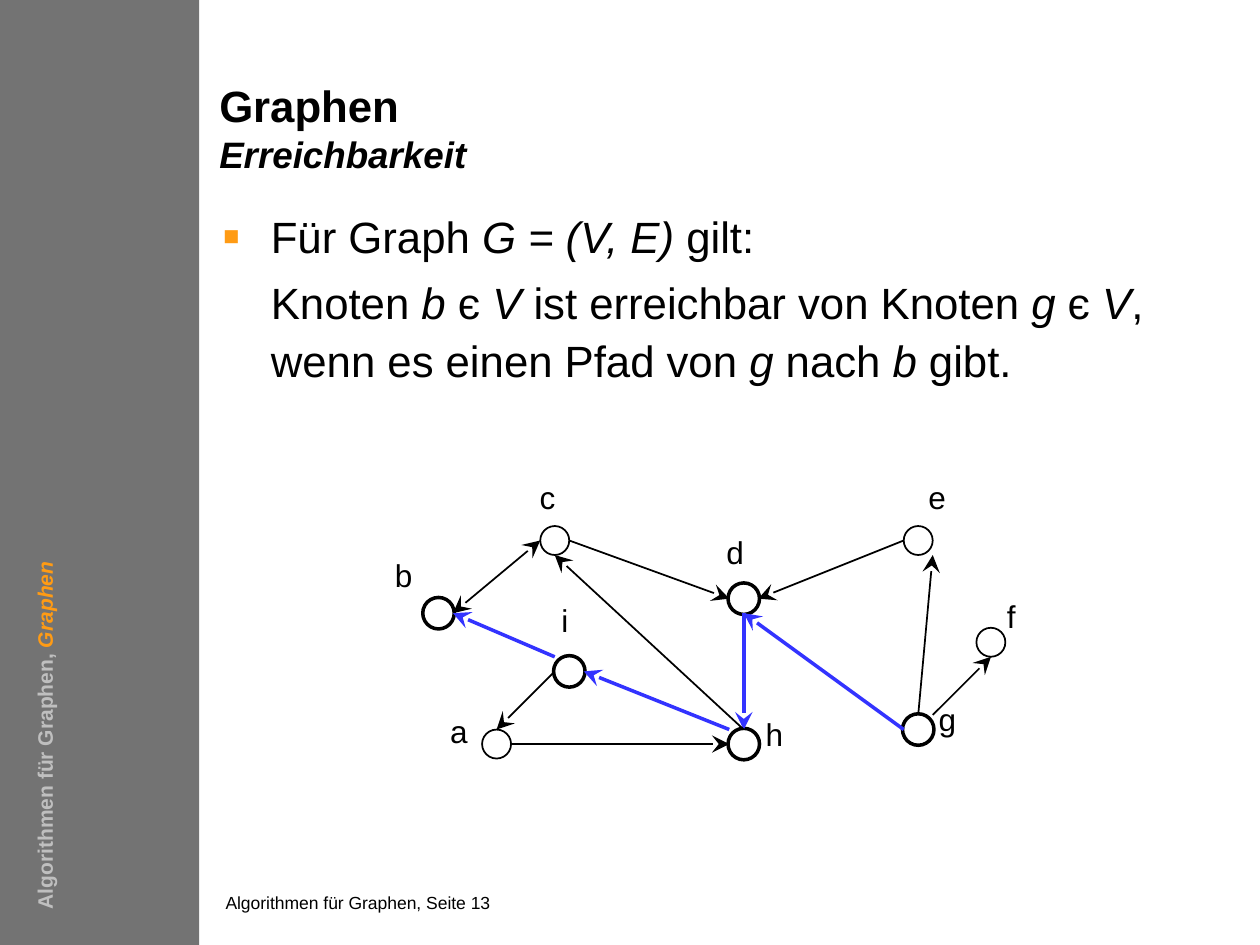
"""Builds the slide on reachability in a directed graph."""
from lxml import etree
from pptx import Presentation, util as u
from pptx.dml.color import RGBColor
from pptx.enum import shapes, text
from pptx.oxml.ns import qn

W, H = 10, 7.5
UNIT = H / 65
X0, Y0 = 3.48, 4.29
BLACK, BLUE, ORANGE = "000000", "3333FF", "FF9B14"


def rgb(value):
    return RGBColor.from_string(value)


def add_runs(p, size, runs, color=BLACK, bold=False):
    for wording, italic in runs:
        r = p.add_run()
        r.text = wording
        r.font.name, r.font.size = "Arial", u.Pt(size)
        r.font.bold, r.font.italic = bold, italic
        r.font.color.rgb = rgb(color)


prs = Presentation()
prs.slide_width, prs.slide_height = u.Inches(W), u.Inches(H)
s = prs.slides.add_slide(prs.slide_layouts[5])

sidebar = s.shapes.add_shape(shapes.MSO_SHAPE.RECTANGLE, 0, 0, u.Inches(0.158 * W), u.Inches(H))
sidebar.shadow.inherit = False
sidebar.fill.solid()
sidebar.fill.fore_color.rgb = rgb("737373")
sidebar.line.fill.background()

title = s.shapes.title
title.left, title.top, title.width, title.height = map(u.Inches, (1.74, 0.67, 5.1, 0.75))
body = s.shapes.add_textbox(*map(u.Inches, (1.77, 1.62, 8.07, 5.36)))
footer = s.shapes.add_textbox(*map(u.Inches, (1.79, 7.08, 4.86, 0.21)))
for sp in (title, body, footer):
    tf = sp.text_frame
    tf.margin_left = tf.margin_right = tf.margin_top = tf.margin_bottom = 0
    tf.word_wrap = True
    tf.auto_size = text.MSO_AUTO_SIZE.NONE

title.text_frame.vertical_anchor = text.MSO_ANCHOR.MIDDLE
p = title.text_frame.paragraphs[0]
p.alignment = text.PP_ALIGN.LEFT
p.line_spacing = u.Pt(25.4)
add_runs(p, 25, [("Graphen", False)], bold=True)
p.add_line_break()
add_runs(p, 21, [("Erreichbarkeit", True)], bold=True)

add_runs(footer.text_frame.paragraphs[0], 10, [("Algorithmen für Graphen, Seite 13", False)])

statement = [
    [("Für Graph ", False), ("G = (V, E)", True), (" gilt:", False)],
    [("Knoten ", False), ("b", True), (" є ", False), ("V", True),
     (" ist erreichbar von Knoten ", False), ("g", True), (" є ", False), ("V", True),
     (", wenn es einen Pfad von ", False), ("g", True), (" nach ", False), ("b", True),
     (" gibt.", False)],
]
for i, runs in enumerate(statement):
    p = body.text_frame.paragraphs[0] if i == 0 else body.text_frame.add_paragraph()
    p.line_spacing = 1.1
    p.space_before = u.Pt(5 * i)
    pPr = p._p.get_or_add_pPr()
    pPr.set("marL", str(u.Inches(0.38)))
    pPr.set("indent", str(u.Inches(0.38 * (i - 1))))
    if i == 0:
        color = etree.SubElement(pPr, qn("a:buClr"))
        etree.SubElement(color, qn("a:srgbClr"), val=ORANGE)
        etree.SubElement(pPr, qn("a:buSzPct"), val="120000")
        etree.SubElement(pPr, qn("a:buFont"), typeface="Arial")
        etree.SubElement(pPr, qn("a:buChar"), char="▪")
    add_runs(p, 25, runs)

# name: column, row, on the path, label offset in columns and rows
nodes = {
    "a": (4, 14, False, -2.6, -0.9),
    "b": (0, 5, True, -2.4, -2.6),
    "c": (8, 0, False, -0.5, -3),
    "d": (21, 4, True, -0.6, -3.2),
    "e": (33, 0, False, 1.3, -3),
    "f": (38, 7, False, 1.4, -1.8),
    "g": (33, 13, True, 2, -0.7),
    "h": (21, 14, True, 2.1, -0.7),
    "i": (9, 9, True, -0.3, -3.5),
}
for name, (col, row, on_path, dx, dy) in nodes.items():
    x, y = X0 + col * UNIT, Y0 + row * UNIT
    size = 0.25 if on_path else 0.23
    sp = s.shapes.add_shape(shapes.MSO_SHAPE.OVAL, u.Inches(x - size / 2), u.Inches(y - size / 2),
                            u.Inches(size), u.Inches(size))
    sp.shadow.inherit = False
    sp.fill.background()
    sp.line.color.rgb = rgb(BLACK)
    sp.line.width = u.Pt(2 if on_path else 1)
    label = s.shapes.add_textbox(u.Inches(x + dx * UNIT - 0.17), u.Inches(y + dy * UNIT - 0.2),
                                 u.Inches(0.34), u.Inches(0.4))
    label.text_frame.word_wrap = False
    p = label.text_frame.paragraphs[0]
    p.alignment = text.PP_ALIGN.CENTER
    add_runs(p, 18, [(name, False)])

RIGHT, LEFT, TOP, BOTTOM = (1, 0), (-1, 0), (0, -1), (0, 1)
edges = [
    ("b", RIGHT, "c", LEFT, False),
    ("c", RIGHT, "d", LEFT, False),
    ("e", LEFT, "d", RIGHT, False),
    ("g", TOP, "e", (1, 1), False),
    ("g", (1, -1), "f", BOTTOM, False),
    ("g", LEFT, "d", BOTTOM, True),
    ("d", BOTTOM, "h", TOP, True),
    ("a", RIGHT, "h", LEFT, False),
    ("h", (-1, -1), "i", RIGHT, True),
    ("h", TOP, "c", BOTTOM, False),
    ("i", LEFT, "a", TOP, False),
    ("i", (-1, -1), "b", RIGHT, True),
]
for start, out, end, into, on_path in edges:
    ends = []
    for name, (dx, dy) in ((start, out), (end, into)):
        col, row = nodes[name][:2]
        ends += [u.Inches(X0 + (col + dx) * UNIT), u.Inches(Y0 + (row + dy) * UNIT)]
    edge = s.shapes.add_connector(shapes.MSO_CONNECTOR.STRAIGHT, *ends)
    edge.line.color.rgb = rgb(BLUE if on_path else BLACK)
    edge.line.width = u.Pt(2 if on_path else 1)
    ln = edge.line._get_or_add_ln()
    if (start, end) == ("b", "c"):
        etree.SubElement(ln, qn("a:headEnd"), type="stealth", w="lg", len="lg")
    etree.SubElement(ln, qn("a:tailEnd"), type="stealth", w="lg", len="lg")
    etree.SubElement(edge._element.spPr, qn("a:effectLst"))

chapter = s.shapes.add_textbox(*map(u.Inches, (-1.98, 4.83, 4.67, 0.3)))
chapter.rotation = 270
chapter.text_frame.word_wrap = True
p = chapter.text_frame.paragraphs[0]
add_runs(p, 12, [("Algorithmen für Graphen, ", False)], "BFBFBF", True)
add_runs(p, 12, [("Graphen", True)], ORANGE, True)

prs.save("out.pptx")
